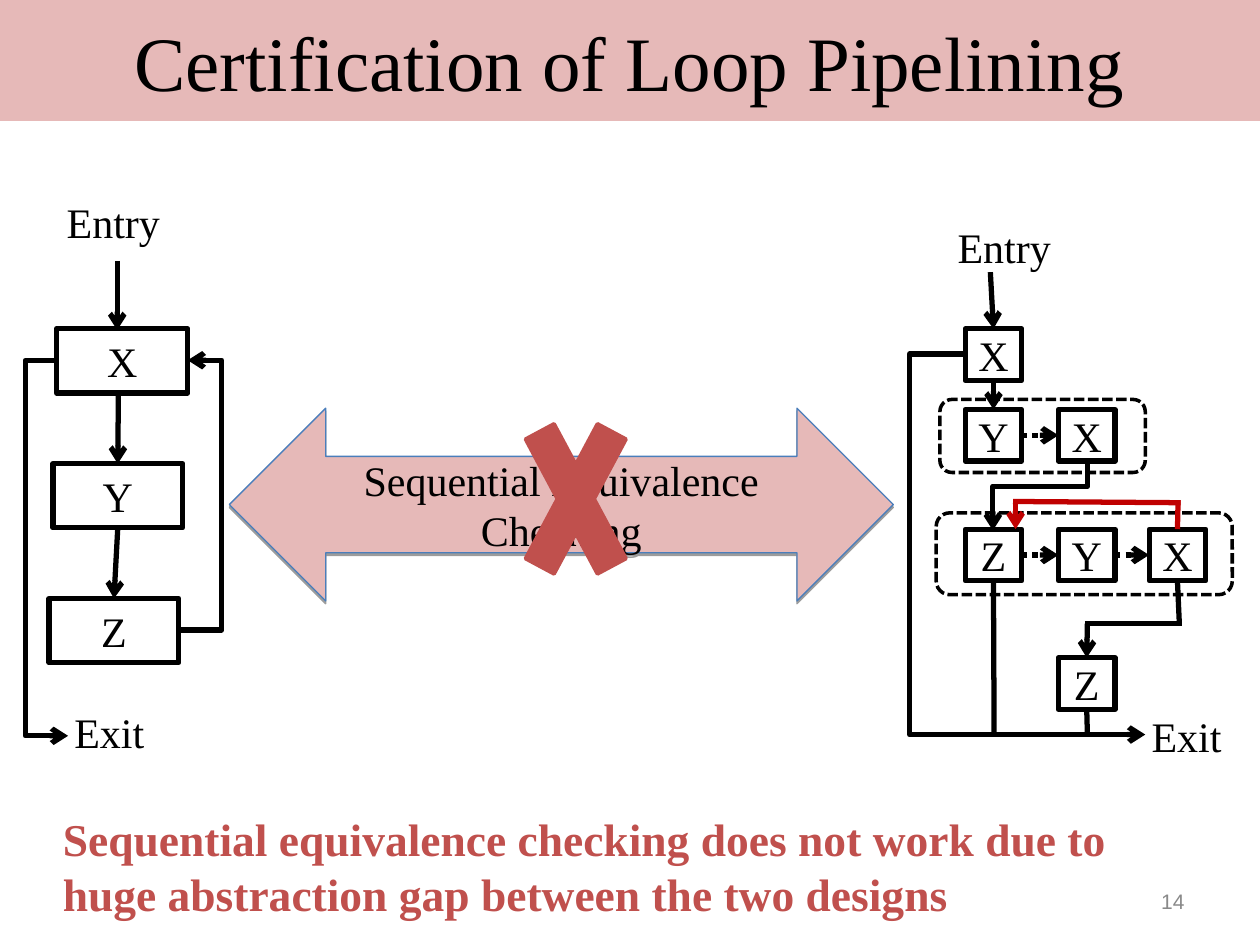
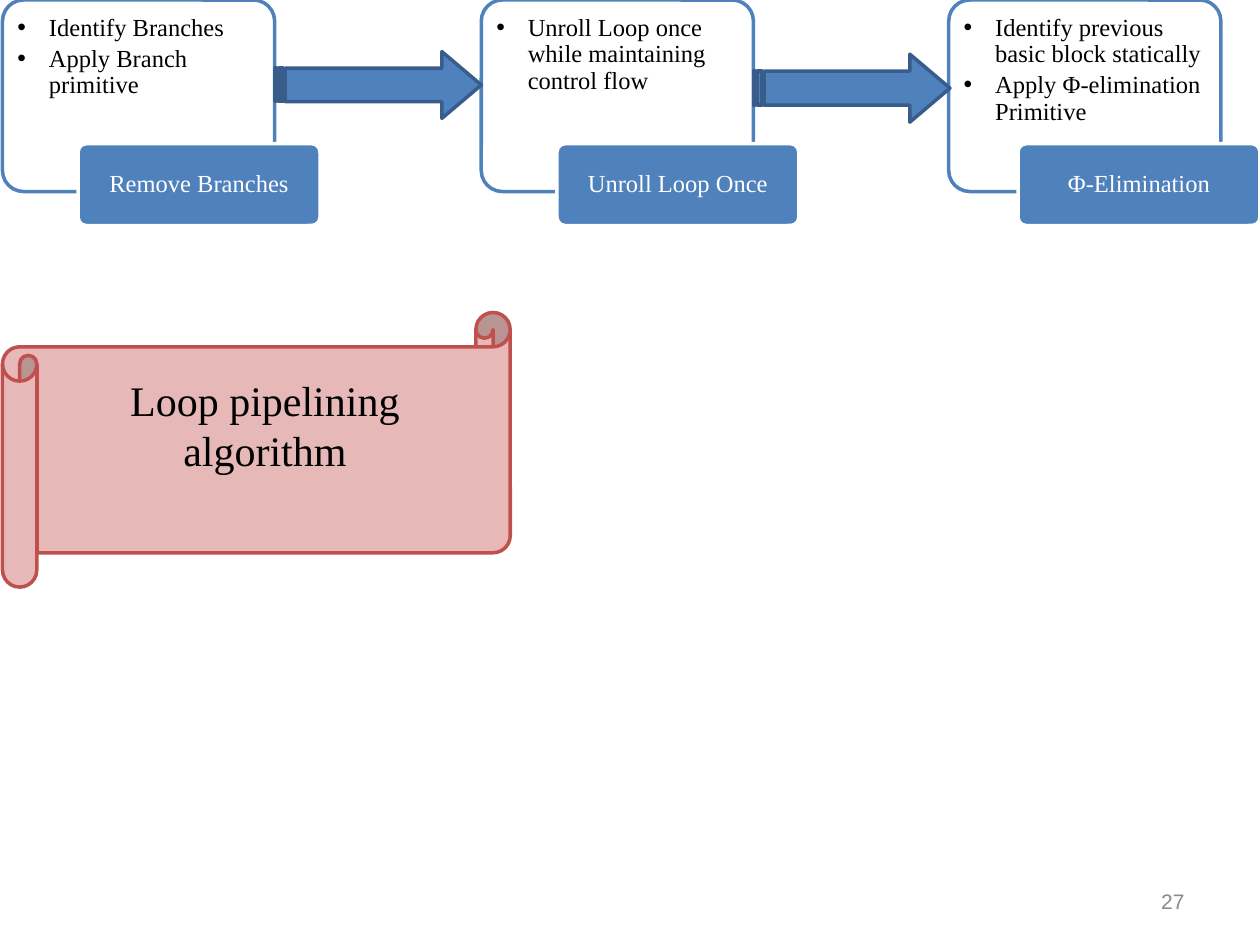
"""Build two slides on certifying loop pipelining."""
from lxml import etree
from pptx import Presentation
from pptx.dml.color import RGBColor
from pptx.enum.dml import MSO_LINE
from pptx.enum.shapes import MSO_CONNECTOR, MSO_SHAPE
from pptx.enum.text import MSO_ANCHOR, PP_ALIGN
from pptx.oxml.ns import qn
from pptx.util import Inches, Pt

RECT, ROUNDED = MSO_SHAPE.RECTANGLE, MSO_SHAPE.ROUNDED_RECTANGLE
DOUBLE_ARROW, CROSS = MSO_SHAPE.LEFT_RIGHT_ARROW, MSO_SHAPE.MATH_MULTIPLY
STRIPED_ARROW, SCROLL = MSO_SHAPE.STRIPED_RIGHT_ARROW, MSO_SHAPE.HORIZONTAL_SCROLL
STRAIGHT, ELBOW = MSO_CONNECTOR.STRAIGHT, MSO_CONNECTOR.ELBOW
DOTS, DASHES = MSO_LINE.ROUND_DOT, MSO_LINE.SQUARE_DOT
TOP, MIDDLE = MSO_ANCHOR.TOP, MSO_ANCHOR.MIDDLE
LEFT, CENTER, RIGHT = PP_ALIGN.LEFT, PP_ALIGN.CENTER, PP_ALIGN.RIGHT
SIDE_TOP, SIDE_BOTTOM, SIDE_RIGHT, SIDE_LEFT = 0, 2, 3, 1

COLORS = {
    "black": "000000", "white": "FFFFFF", "pink": "E6B9B8", "red": "C0504D",
    "back_edge": "C00000", "blue": "4F81BD", "arrow_edge": "385D8A",
    "check_edge": "4A7EBB", "gray": "898989",
}
SERIF, SANS = "Times New Roman", "Arial"
WIDE_INSETS = (0.1, 0.05, 0.1, 0.05)
TIGHT_INSETS = (0.05, 0.02, 0.05, 0.02)


def rgb(name):
    """Return the named colour."""
    return RGBColor.from_string(COLORS[name])


def sub(parent, tag, **attrs):
    """Append a DrawingML child element and return it."""
    el = etree.SubElement(parent, qn(tag))
    for key, value in attrs.items():
        el.set(key, str(value))
    return el


def write(sp, paragraphs, size, color="black", font=SERIF, bold=False, align=LEFT,
          anchor=TOP, insets=WIDE_INSETS, bullets=False, spacing=None, after=None):
    """Fill a shape or text box with uniformly styled paragraphs."""
    tf = sp.text_frame
    tf.word_wrap = True
    tf.vertical_anchor = anchor
    tf.margin_left, tf.margin_top, tf.margin_right, tf.margin_bottom = map(Inches, insets)
    for i, text in enumerate(paragraphs):
        p = tf.add_paragraph() if i else tf.paragraphs[0]
        p.text = text
        p.alignment = align
        if bullets:
            add_bullet(p)
        p.line_spacing = spacing
        p.space_after = after
        p.font.name, p.font.size, p.font.bold = font, Pt(size), bold
        p.font.color.rgb = rgb(color)


def add_bullet(p):
    """Give a paragraph a black round bullet with a hanging indent."""
    pPr = p._p.get_or_add_pPr()
    pPr.set("marL", str(Inches(0.25)))
    pPr.set("indent", str(-Inches(0.25)))
    sub(sub(pPr, "a:buClr"), "a:srgbClr", val=COLORS["black"])
    sub(pPr, "a:buFont", typeface=SANS)
    sub(pPr, "a:buChar", char="•")


def add_text(slide, at, text, size, **style):
    """Add a text box with one paragraph."""
    sp = slide.shapes.add_textbox(*map(Inches, at))
    write(sp, [text], size, **style)
    return sp


def add_shape(slide, kind, at, fill=None, line=None, width=2, dash=None, adjust=()):
    """Add a preset shape with an optional fill and outline."""
    sp = slide.shapes.add_shape(kind, *map(Inches, at))
    sp.shadow.inherit = False
    for i, value in enumerate(adjust):
        sp.adjustments[i] = value
    if fill:
        sp.fill.solid()
        sp.fill.fore_color.rgb = rgb(fill)
    else:
        sp.fill.background()
    if line:
        sp.line.color.rgb = rgb(line)
        sp.line.width = Pt(width)
        if dash:
            sp.line.dash_style = dash
    else:
        sp.line.fill.background()
    return sp


def add_block(slide, at, label):
    """Add an outlined basic block with a centred label."""
    sp = add_shape(slide, RECT, at, line="black", width=3)
    write(sp, [label], 24, align=CENTER, anchor=MIDDLE, insets=TIGHT_INSETS)
    return sp


def style_connector(cxn, color="black", dash=None, arrow=True):
    """Set the stroke and arrowhead of a connector and drop its shadow."""
    cxn.line.color.rgb = rgb(color)
    cxn.line.width = Pt(3)
    if dash:
        cxn.line.dash_style = dash
    if arrow:
        sub(cxn.line._get_or_add_ln(), "a:tailEnd", type="arrow")
    sub(cxn._element.spPr, "a:effectLst")


def add_line(slide, begin, end, **style):
    """Draw a straight line; each end is a point or a (block, side) pair."""
    points = [(0, 0) if hasattr(e[0], "shape_id") else e for e in (begin, end)]
    cxn = slide.shapes.add_connector(STRAIGHT, *map(Inches, points[0] + points[1]))
    if hasattr(begin[0], "shape_id"):
        cxn.begin_connect(*begin)
    if hasattr(end[0], "shape_id"):
        cxn.end_connect(*end)
    style_connector(cxn, **style)


def add_elbow(slide, begin, end, bend, rotation=0):
    """Draw an elbow arrow whose middle leg lies at the given x before rotation."""
    cxn = slide.shapes.add_connector(ELBOW, *map(Inches, begin + end))
    spPr = cxn._element.spPr
    ratio = (bend - begin[0]) / (end[0] - begin[0])
    guides = spPr.find(qn("a:prstGeom")).find(qn("a:avLst"))
    sub(guides, "a:gd", name="adj1", fmla=f"val {round(ratio * 100000)}")
    if rotation:
        spPr.find(qn("a:xfrm")).set("rot", str(rotation * 60000))
    style_connector(cxn)


def add_drop_shadow(sp):
    """Give a shape a soft shadow straight below it."""
    effects = sp._element.spPr.find(qn("a:effectLst"))
    shadow = sub(effects, "a:outerShdw", dist=Pt(1.6), dir=5400000, rotWithShape=0)
    sub(sub(shadow, "a:srgbClr", val=COLORS["black"]), "a:alpha", val=38000)


def add_title(slide, text):
    """Add the title band."""
    sp = add_shape(slide, RECT, (0, 0, 10, 0.96), fill="pink")
    write(sp, [text], 44, align=CENTER, anchor=MIDDLE)


def add_page_number(slide, number):
    """Add the page number at the lower right."""
    add_text(slide, (7.17, 6.95, 2.33, 0.4), str(number), 12, color="gray", font=SANS,
             align=RIGHT, anchor=MIDDLE)


def draw_sequential_loop(slide):
    """Draw the flow graph of the loop before pipelining."""
    add_text(slide, (0.48, 1.54, 0.96, 0.45), "Entry", 24, insets=TIGHT_INSETS)
    add_text(slide, (0.54, 5.59, 1.62, 0.45), "Exit", 24, insets=TIGHT_INSETS)
    add_block(slide, (0.45, 2.61, 1.04, 0.51), "X")
    y = add_block(slide, (0.42, 3.68, 1.03, 0.51), "Y")
    z = add_block(slide, (0.39, 4.75, 1.03, 0.51), "Z")
    add_line(slide, (0.93, 2.07), (0.93, 2.62))
    add_line(slide, (0.94, 3.1), (y, SIDE_TOP))
    add_line(slide, (y, SIDE_BOTTOM), (z, SIDE_TOP))
    add_elbow(slide, (1.42, 5), (1.49, 2.86), bend=1.76)
    add_elbow(slide, (0.45, 2.86), (0.54, 5.84), bend=0.2)


def draw_pipelined_loop(slide):
    """Draw the flow graph of the loop after pipelining."""
    add_text(slide, (7.55, 1.74, 1, 0.45), "Entry", 24, insets=TIGHT_INSETS)
    add_text(slide, (9.09, 5.62, 0.7, 0.45), "Exit", 24, insets=TIGHT_INSETS)
    x1, y1, x2, z1, y2, x3, z2 = [
        add_block(slide, (left, top, 0.45, 0.41), label)
        for left, top, label in [
            (7.66, 2.61, "X"), (7.66, 3.25, "Y"), (8.4, 3.25, "X"), (7.66, 4.2, "Z"),
            (8.4, 4.2, "Y"), (9.12, 4.2, "X"), (8.4, 5.22, "Z")]]
    for stage in [(7.46, 3.17, 1.63, 0.58), (7.43, 4.07, 2.35, 0.65)]:
        add_shape(slide, ROUNDED, stage, line="black", dash=DASHES)
    for a, b in [(y1, x2), (z1, y2), (y2, x3)]:
        add_line(slide, (a, SIDE_RIGHT), (b, SIDE_LEFT), dash=DOTS)

    add_line(slide, (7.86, 2.16), (x1, SIDE_TOP))
    add_line(slide, (x1, SIDE_BOTTOM), (y1, SIDE_TOP))
    add_line(slide, (8.06, 3.97), (8.06, 4.2), color="back_edge")
    add_line(slide, (8.04, 3.98), (9.37, 3.99), color="back_edge", arrow=False)
    add_line(slide, (9.35, 3.97), (x3, SIDE_TOP), color="back_edge", arrow=False)
    add_line(slide, (z1, SIDE_BOTTOM), (7.89, 5.83), arrow=False)
    add_line(slide, (z2, SIDE_BOTTOM), (8.63, 5.82), arrow=False)
    add_line(slide, (x3, SIDE_BOTTOM), (9.36, 4.95), arrow=False)
    add_line(slide, (8.61, 4.95), (9.38, 4.95), arrow=False)
    add_line(slide, (8.63, 4.95), (z2, SIDE_TOP))
    add_elbow(slide, (7.66, 2.81), (9.09, 5.83), bend=7.22)
    add_elbow(slide, (7.98, 3.56), (8.53, 4.31), bend=8.18, rotation=90)


def build_certification(slide):
    """Build the slide on why sequential equivalence checking fails."""
    add_title(slide, "Certification of Loop Pipelining")
    draw_sequential_loop(slide)
    draw_pipelined_loop(slide)
    add_text(slide, (0.4, 6.39, 9.15, 0.97),
             "Sequential equivalence checking does not work due to huge abstraction gap "
             "between the two designs", 26, color="red", bold=True)
    check = add_shape(slide, DOUBLE_ARROW, (1.82, 3.24, 5.27, 1.53), fill="pink",
                      line="check_edge", width=0.75)
    add_drop_shadow(check)
    write(check, ["Sequential Equivalence Checking"], 24, align=CENTER, anchor=MIDDLE)
    add_shape(slide, CROSS, (4.02, 2.93, 1.1, 2.06), fill="red", line="red")
    add_page_number(slide, 14)


def add_step(slide, left, caption_left, caption, details):
    """Add a card of bullets with its caption overlapping the lower edge."""
    card = add_shape(slide, ROUNDED, (left, 0, 2.16, 1.52), fill="white", line="blue",
                     adjust=[0.11])
    write(card, details, 14, insets=(0.07, 0.07, 0.07, 0.63), bullets=True,
          spacing=0.9, after=Pt(2.6))
    label = add_shape(slide, ROUNDED, (caption_left, 1.14, 1.92, 0.65), fill="blue",
                      line="white", adjust=[0.1])
    write(label, [caption], 14, color="white", align=CENTER, anchor=MIDDLE,
          insets=(0.08, 0.06, 0.08, 0.06), spacing=0.9)


def build_algorithm(slide):
    """Build the slide on the steps of the pipelining algorithm."""
    add_page_number(slide, 27)
    steps = [
        (0.02, 0.62, "Remove Branches", ["Identify Branches", "Apply Branch primitive"]),
        (3.82, 4.42, "Unroll Loop Once",
         ["Unroll Loop once while maintaining control flow"]),
        (7.53, 8.08, "Φ-Elimination",
         ["Identify previous basic block statically", "Apply Φ-elimination Primitive"]),
    ]
    for step in steps:
        add_step(slide, *step)
    for at in [(2.18, 0.41, 1.64, 0.53), (5.98, 0.43, 1.56, 0.54)]:
        add_shape(slide, STRIPED_ARROW, at, fill="blue", line="arrow_edge",
                  adjust=[0.5, 0.59])
    scroll = add_shape(slide, SCROLL, (0.02, 2.48, 4.03, 2.18), fill="pink", line="red",
                       adjust=[0.125])
    write(scroll, ["Loop pipelining algorithm"], 24, align=CENTER, anchor=MIDDLE,
          insets=(0.1, 0.05, 0.1, 0.45))


def main():
    """Build and save the presentation."""
    prs = Presentation()
    prs.slide_width, prs.slide_height = Inches(10), Inches(7.5)
    for build in (build_certification, build_algorithm):
        build(prs.slides.add_slide(prs.slide_layouts[6]))
    prs.save("out.pptx")


if __name__ == "__main__":
    main()
